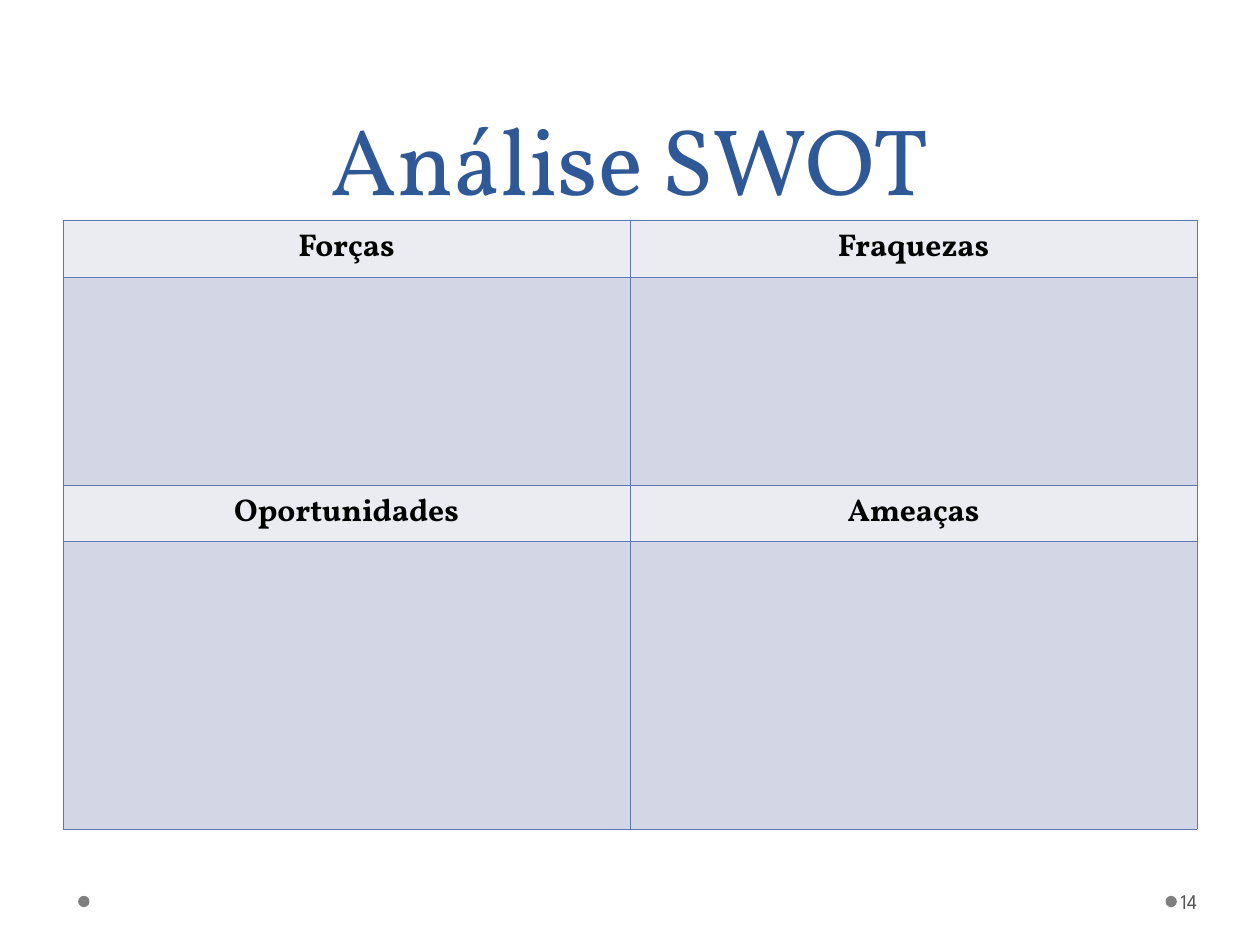
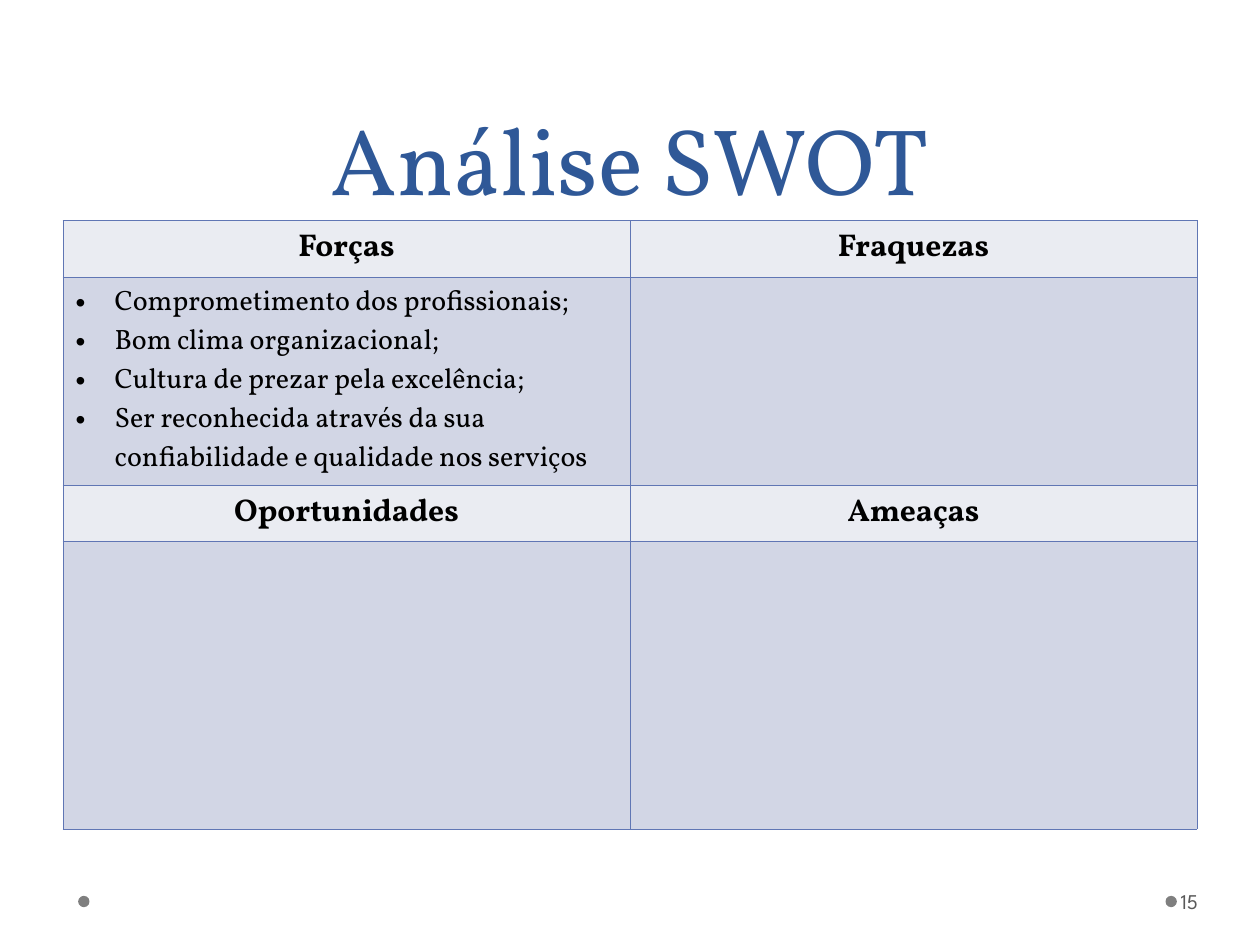
from dataclasses import dataclass

from lxml import etree
from pptx import Presentation
from pptx.dml.color import RGBColor
from pptx.enum.shapes import MSO_SHAPE
from pptx.enum.text import MSO_ANCHOR, PP_ALIGN
from pptx.oxml import parse_xml
from pptx.oxml.ns import nsdecls, qn
from pptx.util import Inches, Pt


@dataclass(frozen=True)
class Theme:
    serif: str = "Vollkorn"
    sans: str = "League Spartan"
    title: str = "2F5897"
    ink: str = "000000"
    number: str = "595959"
    dot: str = "7F7F7F"
    head: str = "EAECF2"
    body: str = "D2D6E5"
    border: str = "6076B4"
    title_size: int = 54
    head_size: int = 18
    item_size: int = 16
    number_size: int = 12


theme = Theme()


def write(frame, *lines, size, color=theme.ink, font=theme.serif, bold=False,
          align=PP_ALIGN.LEFT, spacing=None, bullet=False):
    """Fill a text frame with one paragraph per line."""
    frame.word_wrap = True
    for i, line in enumerate(lines):
        para = frame.paragraphs[0] if i == 0 else frame.add_paragraph()
        para.alignment = align
        if spacing:
            para.line_spacing = Pt(spacing)
        if bullet:
            props = para._p.get_or_add_pPr()
            props.set("marL", str(Inches(0.31)))
            props.set("indent", str(-Inches(0.31)))
            etree.SubElement(props, qn("a:buFont")).set("typeface", "Arial")
            etree.SubElement(props, qn("a:buChar")).set("char", "•")
        run = para.add_run()
        run.text = line
        run.font.size = Pt(size)
        run.font.name = font
        run.font.bold = bold
        run.font.color.rgb = RGBColor.from_string(color)


def frame_cell(cell):
    """Draw a thin line on all four sides of a table cell."""
    props = cell._tc.get_or_add_tcPr()
    for side in ("lnL", "lnR", "lnT", "lnB"):
        props.append(parse_xml(
            f'<a:{side} {nsdecls("a")} w="{Pt(0.45)}"><a:solidFill>'
            f'<a:srgbClr val="{theme.border}"/></a:solidFill></a:{side}>'))


heads = {0: ("Forças", "Fraquezas"), 2: ("Oportunidades", "Ameaças")}
heights = (0.45, 1.65, 0.45, 2.28)
forces = (
    "Comprometimento dos profissionais;",
    "Bom clima organizacional;",
    "Cultura de prezar pela excelência;",
    "Ser reconhecida através da sua confiabilidade e qualidade nos serviços",
)
# Slide number and the bullet items of each filled cell
pages = ((14, {}), (15, {(1, 0): forces}))

deck = Presentation()
deck.slide_width, deck.slide_height = Inches(10), Inches(7.5)

for number, items in pages:
    slide = deck.slides.add_slide(deck.slide_layouts[6])
    shapes = slide.shapes

    for left in (9.25, 0.62):
        dot = shapes.add_shape(MSO_SHAPE.OVAL, Inches(left), Inches(7.11),
                               Inches(0.09), Inches(0.09))
        dot.shadow.inherit = False
        dot.fill.solid()
        dot.fill.fore_color.rgb = RGBColor.from_string(theme.dot)
        dot.line.fill.background()

    title = shapes.add_textbox(Inches(0.5), 0, Inches(9), Inches(1.75)).text_frame
    title.vertical_anchor = MSO_ANCHOR.BOTTOM
    write(title, "Análise SWOT", size=theme.title_size, color=theme.title,
          align=PP_ALIGN.CENTER, spacing=58)

    table = shapes.add_table(4, 2, Inches(0.5), Inches(1.75), Inches(9),
                             Inches(sum(heights))).table
    table.first_row = table.horz_banding = False
    for row, height in enumerate(heights):
        table.rows[row].height = Inches(height)
        for col in range(2):
            cell = table.cell(row, col)
            frame_cell(cell)
            cell.fill.solid()
            fill = theme.head if row in heads else theme.body
            cell.fill.fore_color.rgb = RGBColor.from_string(fill)
            if row in heads:
                write(cell.text_frame, heads[row][col], size=theme.head_size,
                      bold=True, align=PP_ALIGN.CENTER)
            elif (row, col) in items:
                write(cell.text_frame, *items[row, col],
                      size=theme.item_size, bullet=True)

    page = shapes.add_textbox(Inches(9.34), Inches(6.95), Inches(0.61),
                              Inches(0.4)).text_frame
    page.margin_left, page.margin_right = Inches(0.03), Inches(0.05)
    page.vertical_anchor = MSO_ANCHOR.MIDDLE
    write(page, str(number), size=theme.number_size, color=theme.number,
          font=theme.sans)

deck.save("out.pptx")
